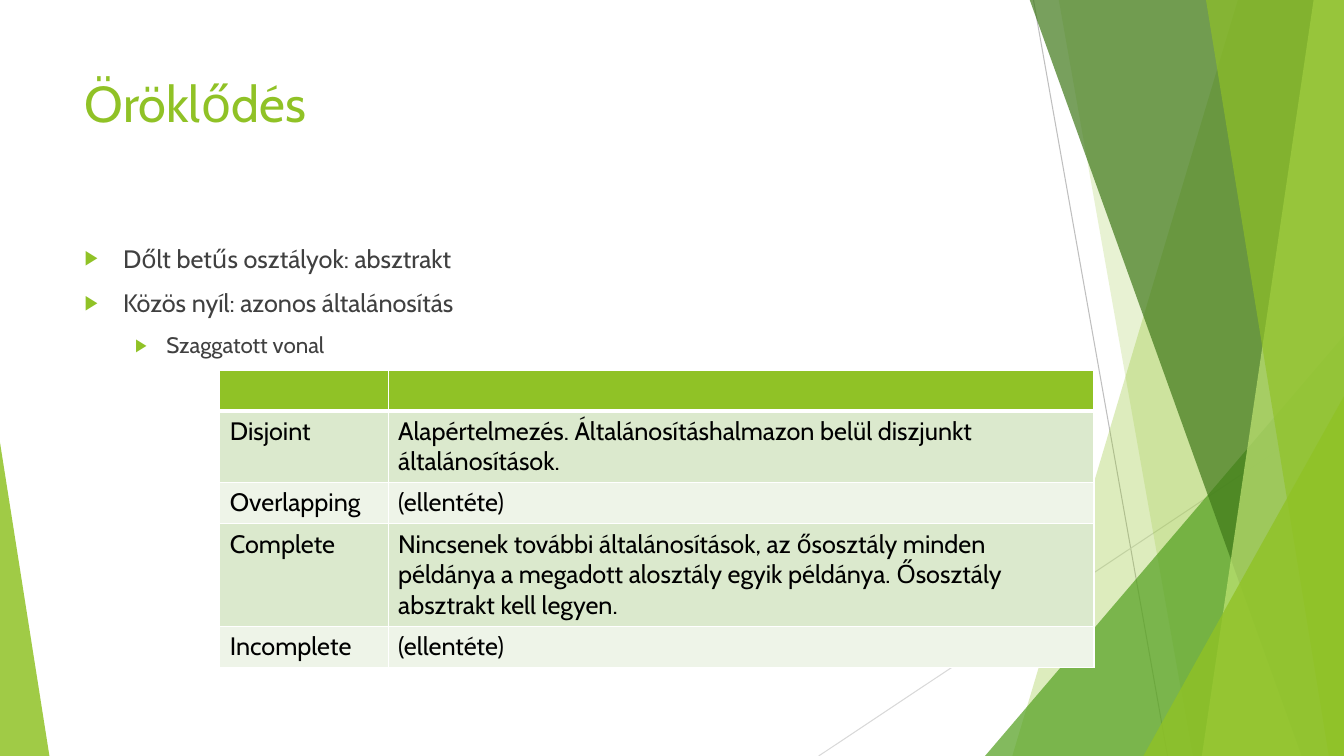
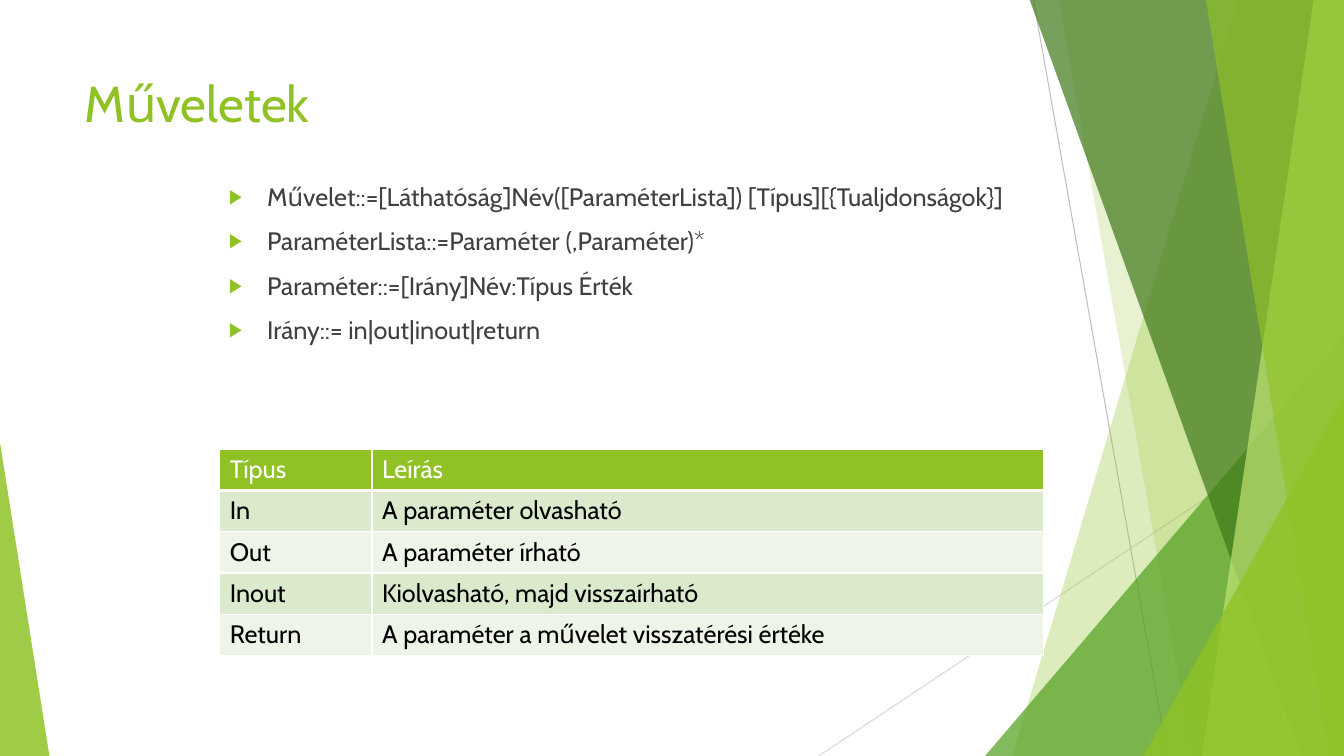
from lxml import etree
from pptx import Presentation
from pptx.dml.color import RGBColor
from pptx.enum.shapes import MSO_CONNECTOR, MSO_SHAPE
from pptx.enum.text import MSO_ANCHOR, MSO_AUTO_SIZE, PP_ALIGN
from pptx.oxml.ns import qn
from pptx.util import Inches, Pt

STRAIGHT = MSO_CONNECTOR.STRAIGHT
TRIANGLE = MSO_SHAPE.RIGHT_TRIANGLE
PEAK = MSO_SHAPE.ISOSCELES_TRIANGLE
TOP = MSO_ANCHOR.TOP
LEFT = PP_ALIGN.LEFT
NO_FIT = MSO_AUTO_SIZE.NONE

LIME = RGBColor(0x90, 0xC2, 0x26)
PALE_LIME = RGBColor(0xC0, 0xE4, 0x74)
GREEN = RGBColor(0x54, 0xA0, 0x21)
DARK_GREEN = RGBColor(0x3F, 0x78, 0x19)
BAND_DARK = RGBColor(0xDB, 0xE9, 0xCD)
BAND_LIGHT = RGBColor(0xEE, 0xF4, 0xE8)
GRAY = RGBColor(0xBF, 0xBF, 0xBF)
LIGHT_GRAY = RGBColor(0xD9, 0xD9, 0xD9)
TEXT = RGBColor(0x40, 0x40, 0x40)
BLACK = RGBColor(0, 0, 0)
WHITE = RGBColor(0xFF, 0xFF, 0xFF)

FONT = "Cabin"
RIGHT, BOTTOM, BLEED = 13.33, 7.5, -0.01
TITLE_BOX = (0.74, 0.67, 9.4, 1.44)
INDENTS = [(0.38, -0.38, 18), (0.81, -0.31, 16)]

LINES = [
    (10.25, 0, 11.58, BOTTOM, GRAY),
    (RIGHT, 4.03, 8.12, BOTTOM, LIGHT_GRAY),
]
BANDS = [
    ("band", 12.28, 10.04, LIME, 30),
    ("band", 10.5, 11.83, LIME, 20),
    ("peak", 9.77, 3.33, GREEN, 72),
    ("band", 10.21, 12.91, DARK_GREEN, 70),
    ("band", 13.03, 11.92, PALE_LIME, 70),
    ("band", 11.96, 13.18, LIME, 65),
    ("peak", 11.34, 3.93, LIME, 80),
    ("corner", 0.49, 4.39, LIME, 85),
]

PAGES = [
    {
        "title": "Öröklődés",
        "body": (0.74, 2.36, 9.4, 4.24),
        "bullets": [
            (0, "Dőlt betűs osztályok: absztrakt"),
            (0, "Közös nyíl: azonos általánosítás"),
            (1, "Szaggatott vonal"),
        ],
        "top": 3.67,
        "columns": [1.67, 7.0],
        "heights": [0.4, 0.71, 0.41, 1.01, 0.41],
        "rows": [
            ("", ""),
            ("Disjoint", "Alapértelmezés. Általánosításhalmazon belül diszjunkt általánosítások."),
            ("Overlapping", "(ellentéte)"),
            ("Complete", "Nincsenek további általánosítások, az ősosztály minden példánya "
                         "a megadott alosztály egyik példánya. Ősosztály absztrakt kell legyen."),
            ("Incomplete", "(ellentéte)"),
        ],
    },
    {
        "title": "Műveletek",
        "body": (2.17, 1.75, 8.17, 2.63),
        "bullets": [
            (0, "Művelet::=[Láthatóság]Név([ParaméterLista]) [Típus][{Tualjdonságok}]"),
            (0, "ParaméterLista::=Paraméter (,Paraméter)*"),
            (0, "Paraméter::=[Irány]Név:Típus Érték"),
            (0, "Irány::= in|out|inout|return"),
        ],
        "top": 4.46,
        "columns": [1.51, 6.66],
        "heights": [0.4] + [0.41] * 4,
        "rows": [
            ("Típus", "Leírás"),
            ("In", "A paraméter olvasható"),
            ("Out", "A paraméter írható"),
            ("Inout", "Kiolvasható, majd visszaírható"),
            ("Return", "A paraméter a művelet visszatérési értéke"),
        ],
    },
]


def add_span(para, text, size, color):
    span = para.add_run()
    span.text = text
    span.font.name = FONT
    span.font.size = Pt(size)
    span.font.bold = False
    span.font.color.rgb = color


def place(box, area):
    box.left, box.top, box.width, box.height = map(Inches, area)
    frame = box.text_frame
    frame.word_wrap = True
    frame.auto_size = NO_FIT
    frame.vertical_anchor = TOP
    return frame


deck = Presentation()
deck.slide_width, deck.slide_height = Inches(RIGHT), Inches(BOTTOM)
layout = deck.slide_layouts[1]
for holder in list(layout.placeholders)[2:]:
    layout.shapes.element.remove(holder.element)
slides = [deck.slides.add_slide(layout) for _ in PAGES]

canvas = slides[0].shapes
decor = []
for x1, y1, x2, y2, color in LINES:
    line = canvas.add_connector(STRAIGHT, *map(Inches, (x1, y1, x2, y2)))
    line.line.color.rgb = color
    line.line.width = Pt(0.75)
    etree.SubElement(line.element.spPr, qn("a:effectLst"))
    decor.append(line)

for kind, x, y, color, opacity in BANDS:
    if kind == "band":
        outline = canvas.build_freeform(Inches(x), Inches(BLEED))
        corners = [(RIGHT, BLEED), (RIGHT, BOTTOM), (y, BOTTOM)]
        outline.add_line_segments([(Inches(cx), Inches(cy)) for cx, cy in corners], close=True)
        shape = outline.convert_to_shape()
    elif kind == "peak":
        shape = canvas.add_shape(PEAK, *map(Inches, (x, y, RIGHT - x, BOTTOM - y)))
        shape.adjustments[0] = 1
    else:
        shape = canvas.add_shape(TRIANGLE, 0, Inches(y), Inches(x), Inches(BOTTOM - y))
    shape.shadow.inherit = False
    shape.fill.solid()
    shape.fill.fore_color.rgb = color
    shape.line.fill.background()
    tint = shape.element.spPr.find(qn("a:solidFill"))[0]
    etree.SubElement(tint, qn("a:alpha"), val=str(opacity * 1000))
    decor.append(shape)

for shape in decor:
    layout.shapes.element.append(shape.element)

for page, content in zip(slides, PAGES):
    para = place(page.shapes.title, TITLE_BOX).paragraphs[0]
    para.alignment = LEFT
    add_span(para, content["title"], 36, LIME)

    frame = place(page.placeholders[1], content["body"])
    for index, (level, text) in enumerate(content["bullets"]):
        para = frame.add_paragraph() if index else frame.paragraphs[0]
        margin, indent, size = INDENTS[level]
        para.level = level
        para.space_before = Pt(10 if index else 0)
        props = para._p.get_or_add_pPr()
        props.set("marL", str(Inches(margin)))
        props.set("indent", str(Inches(indent)))
        bullet_color = etree.SubElement(props, qn("a:buClr"))
        etree.SubElement(bullet_color, qn("a:srgbClr"), val=str(LIME))
        etree.SubElement(props, qn("a:buSzPct"), val="80000")
        etree.SubElement(props, qn("a:buChar"), char="▶")
        add_span(para, text, size, TEXT)

    columns, heights, rows = content["columns"], content["heights"], content["rows"]
    table = page.shapes.add_table(
        len(rows), len(columns), Inches(2.18), Inches(content["top"]),
        Inches(sum(columns)), Inches(sum(heights))).table
    for column, width in zip(table.columns, columns):
        column.width = Inches(width)
    for r, (row, height) in enumerate(zip(rows, heights)):
        table.rows[r].height = Inches(height)
        fill = LIME if r == 0 else BAND_DARK if r % 2 else BAND_LIGHT
        for c, text in enumerate(row):
            cell = table.cell(r, c)
            cell.fill.solid()
            cell.fill.fore_color.rgb = fill
            if text:
                add_span(cell.text_frame.paragraphs[0], text, 18, BLACK if r else WHITE)
            props = cell._tc.get_or_add_tcPr()
            for position, side in enumerate(("lnL", "lnR", "lnT", "lnB")):
                weight = 3 if r == 0 and side == "lnB" else 1
                border = etree.Element(qn(f"a:{side}"), w=str(Pt(weight)))
                paint = etree.SubElement(border, qn("a:solidFill"))
                etree.SubElement(paint, qn("a:srgbClr"), val=str(WHITE))
                props.insert(position, border)

deck.save("out.pptx")
